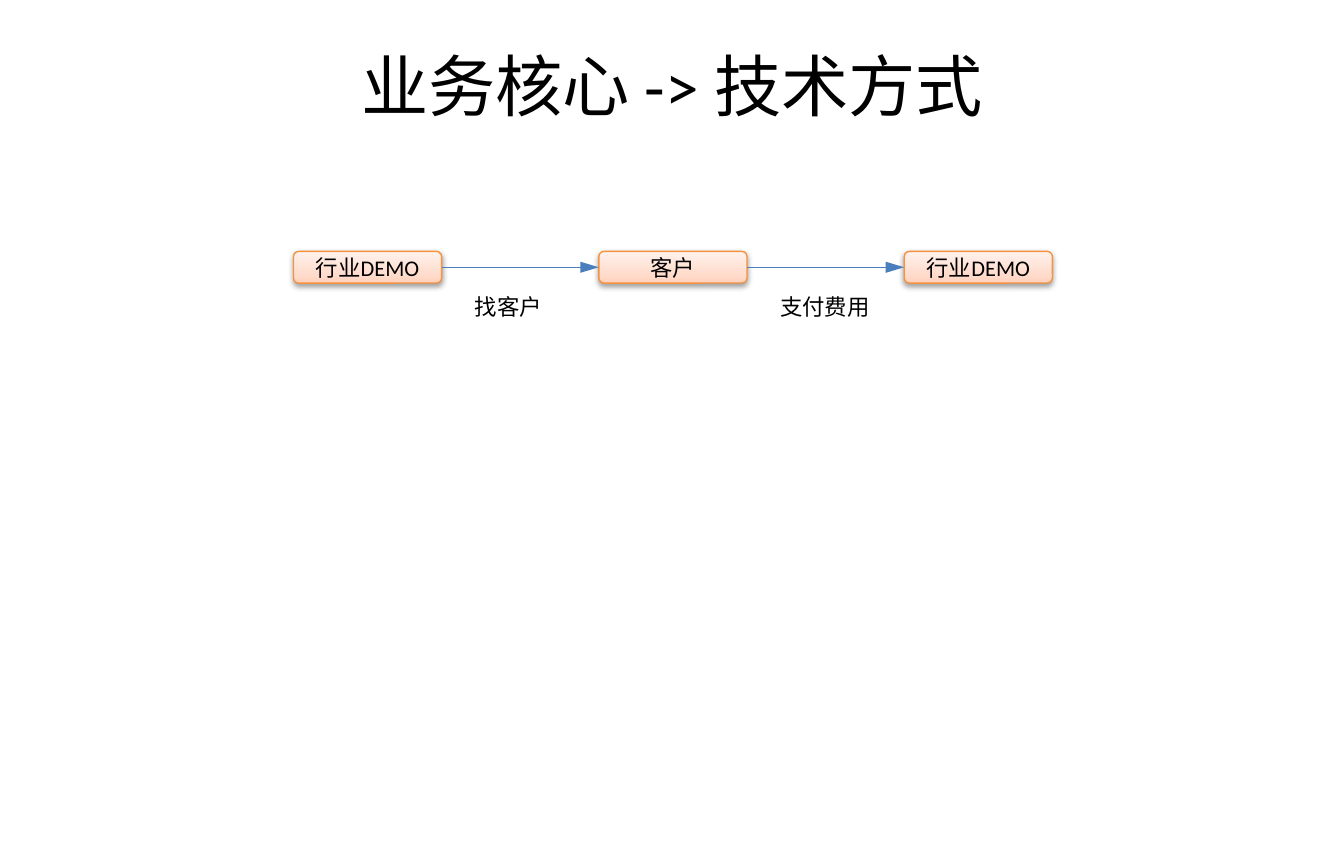
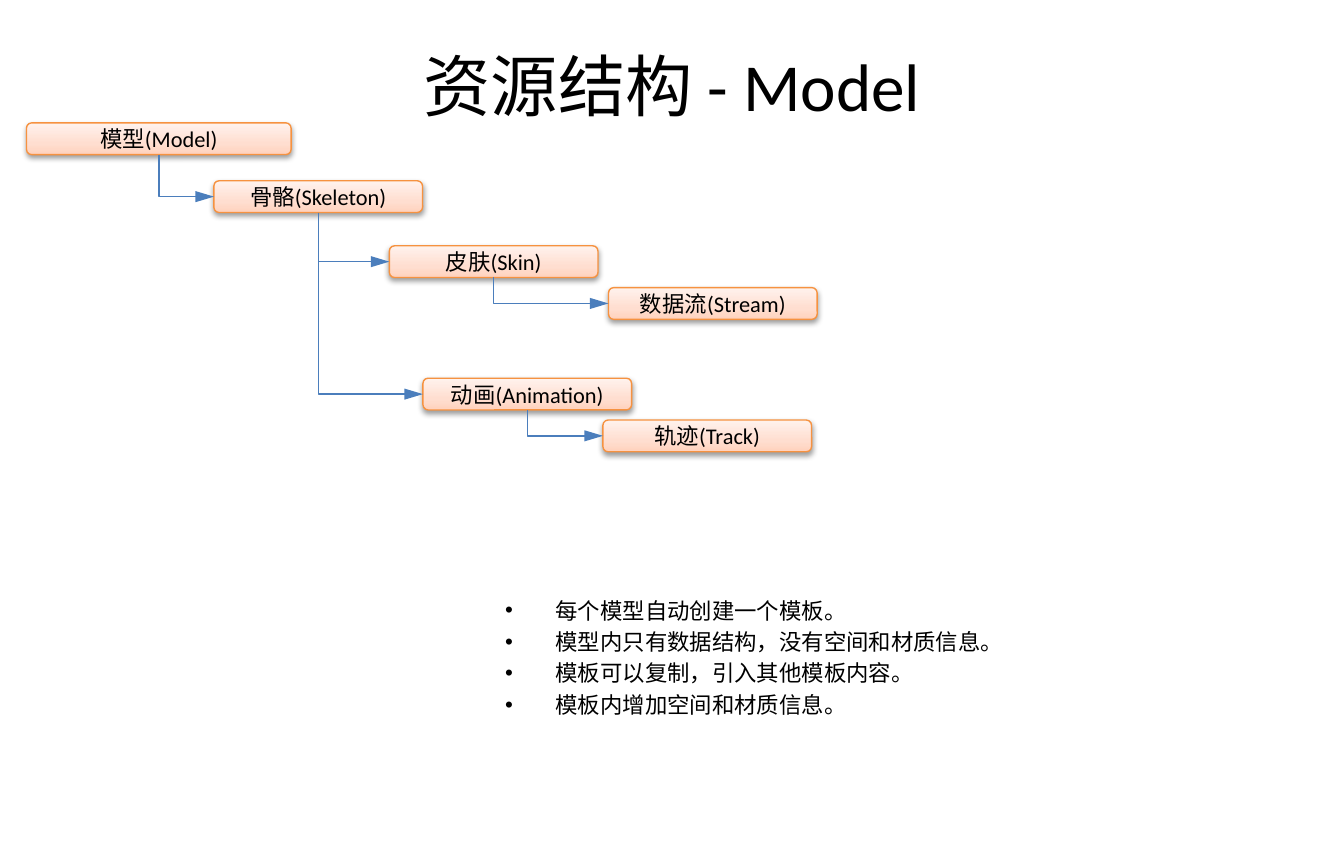
from copy import deepcopy
from dataclasses import dataclass

from lxml.etree import SubElement
from pptx import Presentation
from pptx.dml.color import RGBColor as RGB
from pptx.enum.shapes import MSO_CONNECTOR as LINK, MSO_SHAPE as SHAPE
from pptx.enum.text import MSO_ANCHOR as ANCHOR, PP_ALIGN as ALIGN
from pptx.oxml.ns import qn
from pptx.util import Pt


@dataclass(frozen=True)
class Theme:
    font: str = "Calibri"
    title_size: float = 36
    text_size: float = 12
    text: str = "000000"
    node_stops: tuple = ((0, "FFD2BD"), (0.35, "FFDED0"), (1, "FFF2ED"))
    node_line: str = "F69240"
    link: str = "4B7EBC"
    line_width: float = 0.75
    node_height: float = 17


T = Theme()
TOP, LEFT, BOTTOM, RIGHT = range(4)  # connection sites of a node


# Text
def write(tf, *lines, size=T.text_size, align=ALIGN.LEFT, anchor=ANCHOR.TOP,
          wrap=True, inset=None, bullet=None, indent=0, before=0):
    tf.word_wrap, tf.vertical_anchor = wrap, anchor
    if inset is not None:
        tf.margin_left = tf.margin_right = Pt(inset)
        tf.margin_top = tf.margin_bottom = Pt(inset)
    for i, line in enumerate(lines):
        p = tf.add_paragraph() if i else tf.paragraphs[0]
        p.alignment = align
        p.space_before = Pt(before)
        if bullet:
            ppr = p._p.get_or_add_pPr()
            ppr.set("marL", str(Pt(indent)))
            ppr.set("indent", str(-Pt(indent)))
            SubElement(ppr, qn("a:buFont"), typeface="Arial")
            SubElement(ppr, qn("a:buChar"), char=bullet)
        r = p.add_run()
        r.text = line
        r.font.name, r.font.size = T.font, Pt(size)
        r.font.color.rgb = RGB.from_string(T.text)


def add_text(s, x, y, w, h, *lines, **fmt):
    box = s.shapes.add_textbox(Pt(x), Pt(y), Pt(w), Pt(h))
    write(box.text_frame, *lines, **fmt)


# Nodes and the arrows between them
def add_node(s, x, y, w, label):
    sp = s.shapes.add_shape(SHAPE.ROUNDED_RECTANGLE,
                            Pt(x), Pt(y), Pt(w), Pt(T.node_height))
    sp.fill.gradient()
    sp.fill.gradient_angle = 90
    stops = sp.element.spPr.find(".//" + qn("a:gsLst"))
    stops.append(deepcopy(stops[0]))
    for stop, (position, color) in zip(sp.fill.gradient_stops, T.node_stops):
        stop.position, stop.color.rgb = position, RGB.from_string(color)
    sp.line.color.rgb = RGB.from_string(T.node_line)
    sp.line.width = Pt(T.line_width)
    sp.shadow.inherit = False
    effects = sp.element.spPr.find(qn("a:effectLst"))
    shadow = SubElement(effects, qn("a:outerShdw"), blurRad=str(Pt(3.1)),
                        dist=str(Pt(1.6)), dir="5400000", rotWithShape="0")
    color = SubElement(shadow, qn("a:srgbClr"), val="000000")
    SubElement(color, qn("a:alpha"), val="38000")
    write(sp.text_frame, label, align=ALIGN.CENTER, anchor=ANCHOR.MIDDLE,
          inset=0)
    return sp


def add_link(s, kind, start, start_site, end):
    c = s.shapes.add_connector(kind, 0, 0, 0, 0)
    c.begin_connect(start, start_site)
    c.end_connect(end, LEFT)
    c.line.color.rgb = RGB.from_string(T.link)
    c.line.width = Pt(T.line_width)
    sppr = c.element.spPr
    SubElement(sppr.find(qn("a:ln")), qn("a:tailEnd"), type="triangle",
               w="med", len="lg")
    SubElement(sppr, qn("a:effectLst"))
    return c


def add_branch(s, parent, child):
    """One bend: down from the parent, then right into the child."""
    c = add_link(s, LINK.ELBOW, parent, BOTTOM, child)
    x, y = parent.left + parent.width // 2, parent.top + parent.height
    dx, dy = child.left - x, child.top + child.height // 2 - y
    sppr = c.element.spPr
    sppr.find(qn("a:prstGeom")).set("prst", "bentConnector2")
    xfrm = sppr.find(qn("a:xfrm"))
    xfrm.set("rot", "16200000")
    xfrm.set("flipH", "1")
    # The frame is turned a quarter about its centre
    c.left, c.top = x + (dx - dy) // 2, y + (dy - dx) // 2
    c.width, c.height = dy, dx


# Regions
def add_title(s, text):
    add_text(s, 36, 18.3, 648, 54, text, size=T.title_size,
             align=ALIGN.CENTER, anchor=ANCHOR.MIDDLE)


def add_flow(s, x, y, steps, captions, node_width=79.4, pitch=163.6):
    nodes = [add_node(s, x + i * pitch, y, node_width, step)
             for i, step in enumerate(steps)]
    for i, (start, end) in enumerate(zip(nodes, nodes[1:])):
        add_link(s, LINK.STRAIGHT, start, RIGHT, end)
        add_text(s, x + i * pitch + node_width + 17.8, y + 22.3,
                 12 * len(captions[i]), 14.4, captions[i],
                 wrap=False, inset=0)


def add_tree(s, x, y, rows):
    """Rows hold name, parent, offset from the box and width."""
    nodes = {}
    for name, parent, dx, dy, w in rows:
        nodes[name] = add_node(s, x + dx, y + dy, w, name)
        if parent:
            add_branch(s, nodes[parent], nodes[name])


def add_bullets(s, x, y, w, h, lines):
    add_text(s, x, y, w, h, *lines, bullet="•", indent=27, before=2.4)


prs = Presentation()
prs.slide_width, prs.slide_height = Pt(720), Pt(461.52)
blank = prs.slide_layouts[6]

# Slide 1: business flow
s = prs.slides.add_slide(blank)
add_title(s, "业务核心 -> 技术方式")
add_flow(s, 157.2, 134.6, ["行业DEMO", "客户", "行业DEMO"],
         ["找客户", "支付费用"])

# Slide 2: model resources
MODEL, SKELETON, SKIN = "模型(Model)", "骨骼(Skeleton)", "皮肤(Skin)"
ANIMATION = "动画(Animation)"
s = prs.slides.add_slide(blank)
add_title(s, "资源结构 - Model")
add_tree(s, 14.2, 65.8, [
    (MODEL, None, 0, 0, 141.8),
    (SKELETON, MODEL, 100.4, 31, 111.8),
    (SKIN, SKELETON, 194.4, 65.8, 111.8),
    ("数据流(Stream)", SKIN, 311.8, 88.2, 111.8),
    (ANIMATION, SKELETON, 212.4, 136.7, 111.8),
    ("轨迹(Track)", ANIMATION, 308.8, 159.1, 111.8),
])
add_bullets(s, 263.5, 316, 436.5, 93.5, [
    "每个模型自动创建一个模板。",
    "模型内只有数据结构，没有空间和材质信息。",
    "模板可以复制，引入其他模板内容。",
    "模板内增加空间和材质信息。",
])

prs.save("out.pptx")
